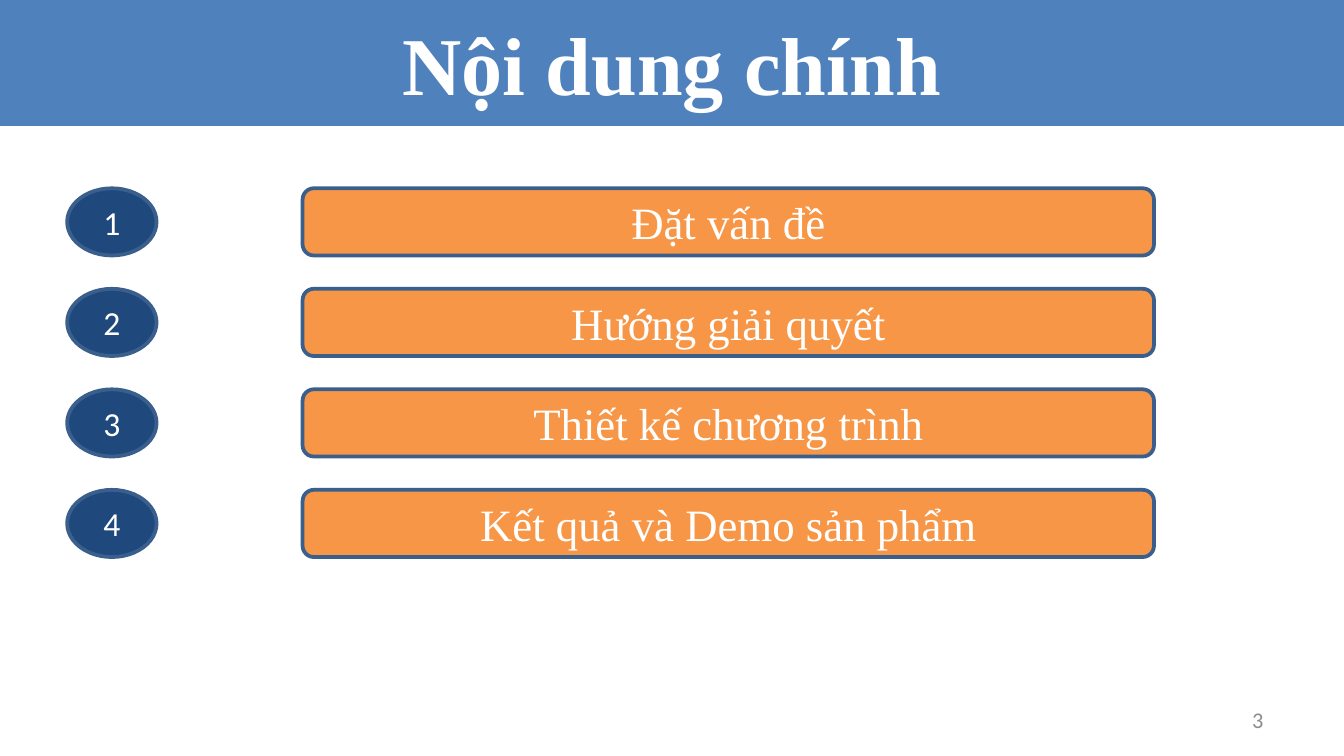
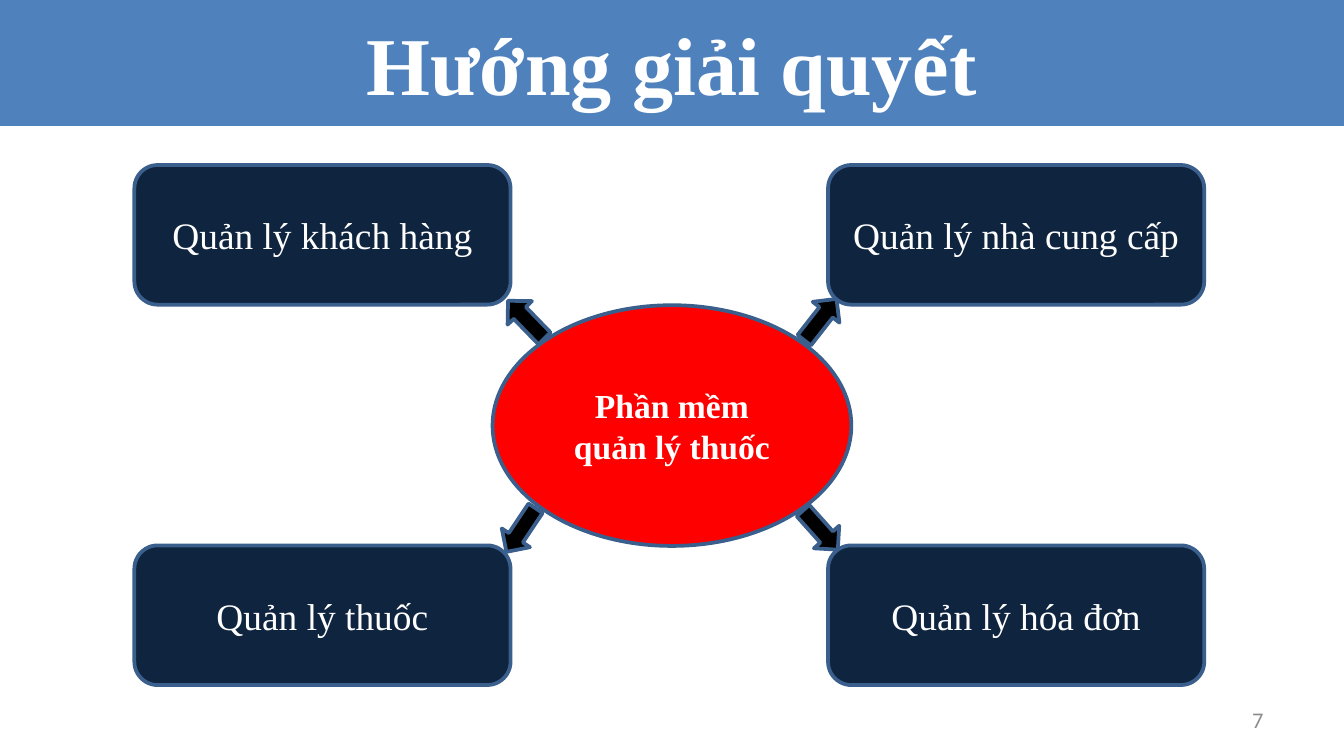
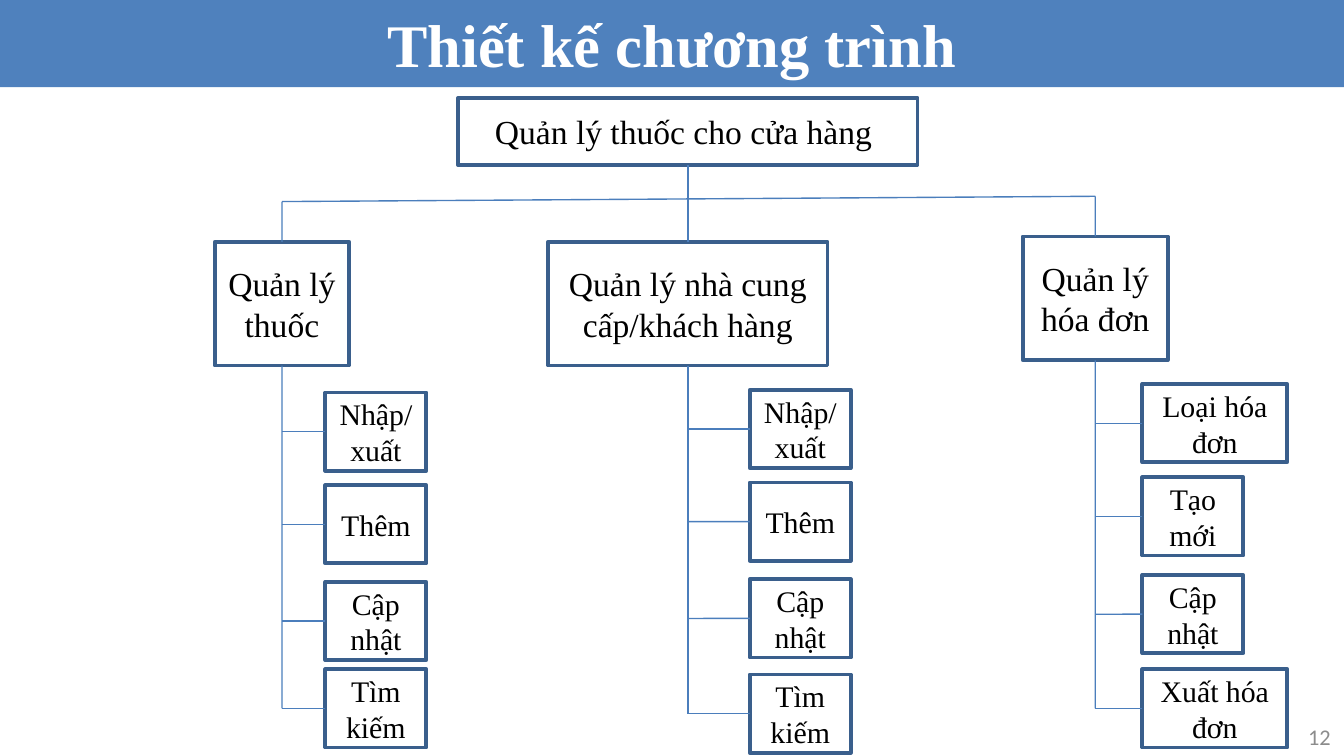
from dataclasses import dataclass
from typing import Optional

import pptx
import pptx.dml.color
import pptx.enum.shapes
import pptx.enum.text
import pptx.oxml
import pptx.oxml.ns
import pptx.shapes.autoshape
import pptx.shapes.connector
import pptx.slide
import pptx.util

Cm = pptx.util.Cm
RGBColor = pptx.dml.color.RGBColor
SHAPE = pptx.enum.shapes.MSO_SHAPE
ALIGN = pptx.enum.text.PP_ALIGN
MIDDLE = pptx.enum.text.MSO_ANCHOR.MIDDLE

BAND_BLUE = RGBColor(0x4F, 0x81, 0xBD)
OUTLINE_BLUE = RGBColor(0x3A, 0x5F, 0x8C)
LINK_BLUE = RGBColor(0x4B, 0x7E, 0xBC)
BADGE_BLUE = RGBColor(0x1F, 0x49, 0x7D)
CARD_NAVY = RGBColor(0x0F, 0x24, 0x3E)
ORANGE = RGBColor(0xF7, 0x96, 0x46)
RED = RGBColor(0xFF, 0x00, 0x00)
BLACK = RGBColor(0x00, 0x00, 0x00)
WHITE = RGBColor(0xFF, 0xFF, 0xFF)
PAGE_GRAY = RGBColor(0x8C, 0x8C, 0x8C)

SERIF = "Times New Roman"
SANS = "Calibri"
SLIDE_WIDTH, SLIDE_HEIGHT = 25.4, 14.29


@dataclass(frozen=True)
class Box:
    """Place of a part, in centimetres."""
    left: float
    top: float
    width: float
    height: float

    def emu(self) -> tuple[int, int, int, int]:
        return Cm(self.left), Cm(self.top), Cm(self.width), Cm(self.height)


@dataclass(frozen=True)
class Lettering:
    size: float
    color: RGBColor = WHITE
    font: str = SERIF
    bold: bool = False
    align: ALIGN = ALIGN.CENTER


@dataclass(frozen=True)
class Look:
    kind: SHAPE
    fill: Optional[RGBColor]
    lettering: Lettering
    outline: Optional[RGBColor] = OUTLINE_BLUE


@dataclass(frozen=True)
class Arrow:
    left: float
    top: float
    rotation: float


@dataclass(frozen=True)
class Leaf:
    label: str
    top: float
    width: float = 1.91


@dataclass(frozen=True)
class Branch:
    label: str
    left: float
    top: float
    width: float
    leaf_left: float
    leaves: tuple[Leaf, ...]

    @property
    def center(self) -> float:
        return self.left + self.width / 2

    @property
    def bus_y(self) -> float:
        """Height at which the line from the root reaches this branch."""
        return self.top - 0.76


BADGE = Look(SHAPE.OVAL, BADGE_BLUE, Lettering(18, font=SANS))
TOPIC = Look(SHAPE.ROUNDED_RECTANGLE, ORANGE, Lettering(24))
HUB = Look(SHAPE.OVAL, RED, Lettering(18, bold=True))
CARD = Look(SHAPE.ROUNDED_RECTANGLE, CARD_NAVY, Lettering(20))
POINTER = Look(SHAPE.RIGHT_ARROW, BLACK, Lettering(18))
NODE = Look(SHAPE.RECTANGLE, WHITE, Lettering(18, BLACK))
LEAF = Look(SHAPE.RECTANGLE, None, Lettering(16, BLACK))
PAGE_LETTERING = Lettering(12, PAGE_GRAY, SANS, align=ALIGN.RIGHT)
PAGE_BOX = Box(18.2, 13.23, 5.93, 0.76)

TOPICS = ("Đặt vấn đề", "Hướng giải quyết", "Thiết kế chương trình", "Kết quả và Demo sản phẩm")
TOPIC_TOP, TOPIC_STEP = 3.56, 1.9

MODULES = (
    ("Quản lý khách hàng", "Quản lý nhà cung cấp"),
    ("Quản lý thuốc", "Quản lý hóa đơn"),
)
MODULE_LEFTS = (2.54, 15.65)
MODULE_TOPS = (3.12, 10.31)
ARROWS = (
    Arrow(15.01, 5.72, 308),
    Arrow(15.01, 9.7, 48.3),
    Arrow(9.45, 5.72, 225.9),
    Arrow(9.35, 9.7, 123.7),
)

WIDE_LEAF = 2.74
BRANCHES = (
    Branch("Quản lý thuốc", 4.06, 4.57, 2.54, 6.15, (
        Leaf("Nhập/xuất", 7.42),
        Leaf("Thêm", 9.17),
        Leaf("Cập nhật", 11),
        Leaf("Tìm kiếm", 12.65),
    )),
    Branch("Quản lý nhà cung cấp/khách hàng", 10.36, 4.57, 5.28, 14.17, (
        Leaf("Nhập/xuất", 7.37),
        Leaf("Thêm", 9.12),
        Leaf("Cập nhật", 10.95),
        Leaf("Tìm kiếm", 12.75),
    )),
    Branch("Quản lý hóa đơn", 19.33, 4.47, 2.74, 21.59, (
        Leaf("Loại hóa đơn", 7.26, WIDE_LEAF),
        Leaf("Tạo mới", 9.02),
        Leaf("Cập nhật", 10.87),
        Leaf("Xuất hóa đơn", 12.65, WIDE_LEAF),
    )),
)
BRANCH_HEIGHT, LEAF_HEIGHT = 2.34, 1.48


def write(shape: pptx.shapes.autoshape.Shape, text: str, lettering: Lettering) -> None:
    frame = shape.text_frame
    frame.word_wrap = True
    frame.vertical_anchor = MIDDLE
    frame.text = text
    paragraph = frame.paragraphs[0]
    paragraph.alignment = lettering.align
    for run in paragraph.runs:
        run.font.size = pptx.util.Pt(lettering.size)
        run.font.name = lettering.font
        run.font.bold = lettering.bold
        run.font.color.rgb = lettering.color


def draw(slide: pptx.slide.Slide, look: Look, box: Box, text: str = "") -> pptx.shapes.autoshape.Shape:
    shape = slide.shapes.add_shape(look.kind, *box.emu())
    shape.shadow.inherit = False
    if look.fill is None:
        shape.fill.background()
    else:
        shape.fill.solid()
        shape.fill.fore_color.rgb = look.fill
    if look.outline is None:
        shape.line.fill.background()
    else:
        shape.line.color.rgb = look.outline
        shape.line.width = pptx.util.Pt(2)
    if text:
        write(shape, text, look.lettering)
    return shape


def link(slide: pptx.slide.Slide, start: tuple[float, float],
         end: tuple[float, float]) -> pptx.shapes.connector.Connector:
    """Draw a thin straight line between two points in centimetres."""
    connector = slide.shapes.add_connector(
        pptx.enum.shapes.MSO_CONNECTOR.STRAIGHT, *(Cm(value) for value in start + end))
    connector.line.color.rgb = LINK_BLUE
    connector.line.width = pptx.util.Pt(0.75)
    properties = connector._element.spPr
    properties.append(properties.makeelement(pptx.oxml.ns.qn("a:effectLst"), {}))
    return connector


def add_titled_slide(deck, title: str, page: str, band_height: float = 2.38,
                     title_size: float = 44, page_box: Box = PAGE_BOX) -> pptx.slide.Slide:
    slide = deck.slides.add_slide(deck.slide_layouts[6])
    band = Look(SHAPE.RECTANGLE, BAND_BLUE, Lettering(title_size, bold=True), outline=None)
    draw(slide, band, Box(0, 0, SLIDE_WIDTH, band_height), title)
    write(slide.shapes.add_textbox(*page_box.emu()), page, PAGE_LETTERING)
    return slide


def add_contents(deck) -> None:
    slide = add_titled_slide(deck, "Nội dung chính", "3")
    for index, topic in enumerate(TOPICS):
        top = TOPIC_TOP + index * TOPIC_STEP
        draw(slide, BADGE, Box(1.27, top, 1.69, 1.27), str(index + 1))
        draw(slide, TOPIC, Box(5.72, top, 16.09, 1.27), topic)


def add_solution(deck) -> None:
    slide = add_titled_slide(deck, "Hướng giải quyết", "7")
    draw(slide, HUB, Box(9.31, 5.77, 6.78, 4.55), "Phần mềm quản lý thuốc")
    for top, row in zip(MODULE_TOPS, MODULES):
        for left, module in zip(MODULE_LEFTS, row):
            draw(slide, CARD, Box(left, top, 7.11, 2.64), module)
    for arrow in ARROWS:
        pointer = draw(slide, POINTER, Box(arrow.left, arrow.top, 0.99, 0.64))
        pointer.rotation = arrow.rotation


def draw_branch(slide: pptx.slide.Slide, branch: Branch) -> pptx.shapes.autoshape.Shape:
    """Draw a branch with its stem and leaves, and return its node."""
    node = draw(slide, NODE, Box(branch.left, branch.top, branch.width, BRANCH_HEIGHT), branch.label)
    stem_end = branch.leaves[-1].top + LEAF_HEIGHT / 2
    stem = link(slide, (branch.center, branch.top + BRANCH_HEIGHT), (branch.center, stem_end))
    stem.begin_connect(node, 2)
    for leaf in branch.leaves:
        leaf_node = draw(slide, LEAF, Box(branch.leaf_left, leaf.top, leaf.width, LEAF_HEIGHT), leaf.label)
        middle = leaf.top + LEAF_HEIGHT / 2
        twig = link(slide, (branch.leaf_left, middle), (branch.center, middle))
        twig.begin_connect(leaf_node, 1)
    return node


def add_design(deck) -> None:
    slide = add_titled_slide(deck, "Thiết kế chương trình", "12", band_height=1.65,
                             title_size=32.4, page_box=Box(23.88, 13.54, 1.52, 0.76))
    root = draw(slide, NODE, Box(8.66, 1.85, 8.68, 1.27), "Quản lý thuốc cho cửa hàng ")
    nodes = [draw_branch(slide, branch) for branch in BRANCHES]
    first, center, last = BRANCHES

    trunk = link(slide, (center.center, 3.12), (center.center, center.top))
    trunk.begin_connect(root, 2)
    trunk.end_connect(nodes[1], 0)
    for branch, node in ((first, nodes[0]), (last, nodes[2])):
        drop = link(slide, (branch.center, branch.bus_y), (branch.center, branch.top))
        drop.end_connect(node, 0)
    link(slide, (first.center, first.bus_y), (last.center, last.bus_y))


def main() -> None:
    deck = pptx.Presentation()
    deck.slide_width, deck.slide_height = Cm(SLIDE_WIDTH), Cm(SLIDE_HEIGHT)
    add_contents(deck)
    add_solution(deck)
    add_design(deck)
    deck.save("out.pptx")


if __name__ == "__main__":
    main()
